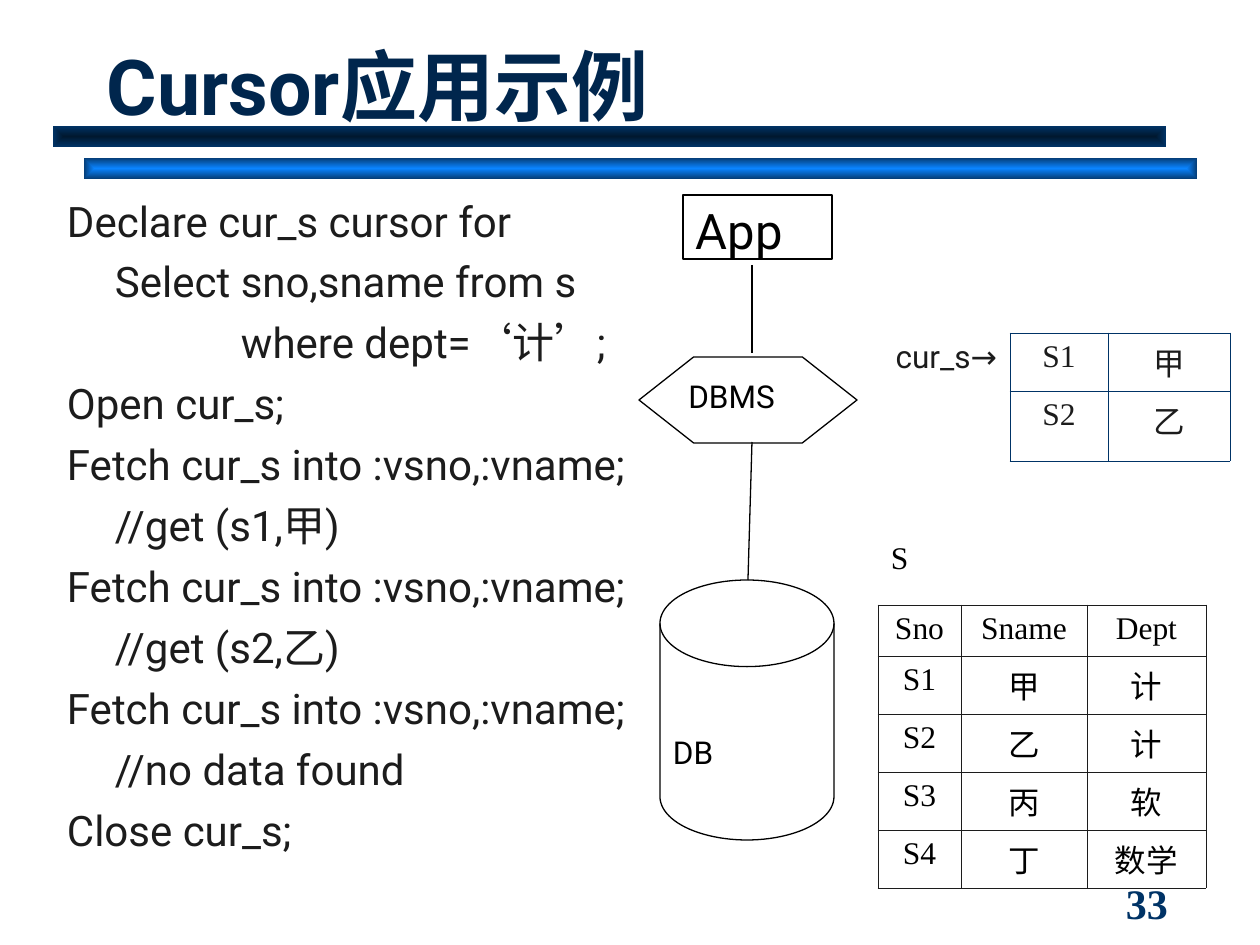
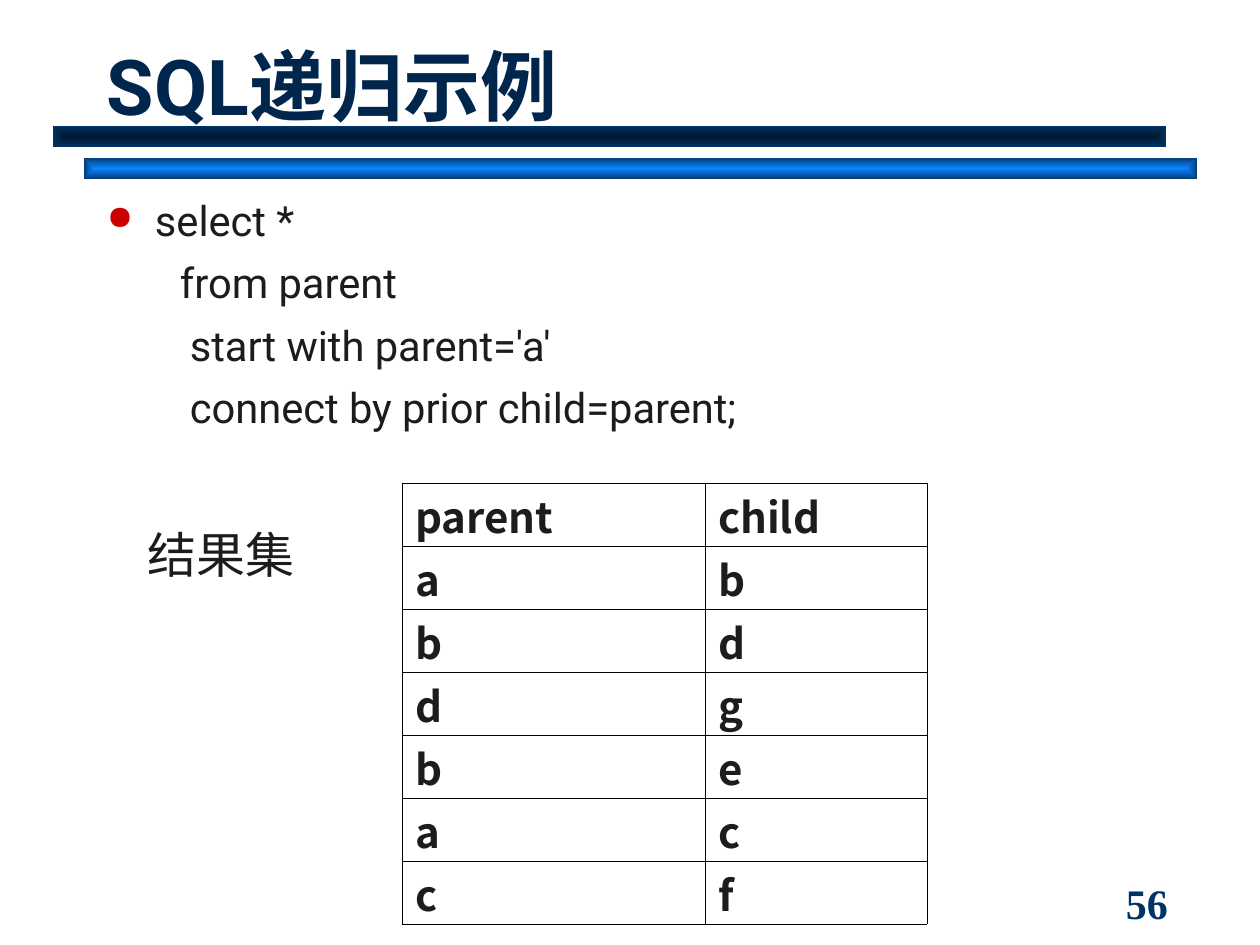
from dataclasses import dataclass

from lxml import etree
from pptx import Presentation
from pptx.dml.color import RGBColor
from pptx.enum.shapes import MSO_CONNECTOR, MSO_SHAPE
from pptx.enum.text import MSO_ANCHOR, PP_ALIGN
from pptx.oxml import parse_xml
from pptx.oxml.ns import nsdecls, qn
from pptx.util import Emu, Pt

LEFT, CENTER, RIGHT = PP_ALIGN.LEFT, PP_ALIGN.CENTER, PP_ALIGN.RIGHT
TOP, MIDDLE, BOTTOM = MSO_ANCHOR.TOP, MSO_ANCHOR.MIDDLE, MSO_ANCHOR.BOTTOM
RECTANGLE, HEXAGON = MSO_SHAPE.RECTANGLE, MSO_SHAPE.HEXAGON
DISK, STRAIGHT = MSO_SHAPE.FLOWCHART_MAGNETIC_DISK, MSO_CONNECTOR.STRAIGHT
PX_PER_INCH = 126


@dataclass(frozen=True)
class Theme:
    navy: str = "003366"
    title_color: str = "00264D"
    ink: str = "1C1C1C"
    black: str = "000000"
    white: str = "FFFFFF"
    bullet: str = "CC0000"
    sans: str = "Roboto"
    serif: str = "Times New Roman"
    cjk: str = "Noto Sans CJK JP"
    title_size: float = 44
    large_size: float = 28
    body_size: float = 24
    query_size: float = 23.8
    small_size: float = 18
    line: float = 0.75
    border: float = 0.45


THEME = Theme()

# Shared parts: (left, top, width, height), centre colour, edge colour
BANDS = [
    ((84, 158, 1113, 21), "0A84FF", "053D76"),
    ((53, 126, 1113, 21), "00182F", "003366"),
]
TITLE_BOX = (94, 21, 1071, 116)
NUMBER_BOX = (1113, 882, 136, 42)

# Cursor slide: code lines as (indent, text)
CURSOR_TITLE = "Cursor应用示例"
CURSOR_CODE = [
    (0, "Declare cur_s cursor for"),
    (48, "Select sno,sname from s"),
    (174, "where dept=‘计’;"),
    (0, "Open cur_s;"),
    (0, "Fetch cur_s into :vsno,:vname;"),
    (48, "//get (s1,甲)"),
    (0, "Fetch cur_s into :vsno,:vname;"),
    (48, "//get (s2,乙)"),
    (0, "Fetch cur_s into :vsno,:vname;"),
    (48, "//no data found"),
    (0, "Close cur_s;"),
]
# kind, box, label, type size, top inset
LAYERS = [
    (RECTANGLE, (683, 195, 149, 64), "App", THEME.large_size, 6),
    (HEXAGON, (639, 357, 218, 86), "DBMS", THEME.small_size, 6),
    (DISK, (660, 580, 174, 260), "DB", THEME.small_size, 66),
]
LINKS = [(752, 265, 752, 353), (752, 442, 748, 580)]
STUDENTS = [
    ("S", "", ""),
    ("Sno", "Sname", "Dept"),
    ("S1", "甲", "计"),
    ("S2", "乙", "计"),
    ("S3", "丙", "软"),
    ("S4", "丁", "数学"),
]
CURSOR_ROWS = [("cur_s→", "S1", "甲"), ("", "S2", "乙")]

# Recursion slide
RECURSION_TITLE = "SQL递归示例"
QUERY = [
    (48, "select *"),
    (73, "from parent"),
    (83, "start with parent='a'"),
    (83, "connect by prior child=parent;"),
]
RESULT_LABEL = "结果集"
RESULT_ROWS = [("parent", "child"), ("a", "b"), ("b", "d"), ("d", "g"),
               ("b", "e"), ("a", "c"), ("c", "f")]


def px(length):
    return Emu(round(length * 914400 / PX_PER_INCH))


def place(box):
    return [px(length) for length in box]


def rgb(color):
    return RGBColor.from_string(color)


def style(paragraph, size, color=THEME.ink, name=THEME.sans, bold=False):
    font = paragraph.font
    font.size, font.bold, font.name = Pt(size), bold, name
    font.color.rgb = rgb(color)
    properties = paragraph._p.get_or_add_pPr().find(qn("a:defRPr"))
    etree.SubElement(properties, qn("a:ea")).set("typeface", THEME.cjk)


def set_frame(frame, anchor=TOP, top=6):
    frame.word_wrap = True
    frame.vertical_anchor = anchor
    frame.margin_left = frame.margin_right = px(13)
    frame.margin_top, frame.margin_bottom = px(top), px(6)


def add_text(slide, box, lines, size, anchor=TOP, space=0, bullet=False, **look):
    """Write (indent, text) lines; an optional bullet marks the first."""
    frame = slide.shapes.add_textbox(*place(box)).text_frame
    set_frame(frame, anchor)
    for index, (indent, text) in enumerate(lines):
        paragraph = frame.add_paragraph() if index else frame.paragraphs[0]
        paragraph.text = text
        paragraph.alignment = LEFT
        if index:
            paragraph.space_before = Pt(space)
        properties = paragraph._p.get_or_add_pPr()
        properties.set("marL", str(px(indent)))
        if bullet and index == 0:
            properties.set("indent", str(-px(indent)))
            color = etree.SubElement(properties, qn("a:buClr"))
            etree.SubElement(color, qn("a:srgbClr")).set("val", THEME.bullet)
            etree.SubElement(properties, qn("a:buSzPct")).set("val", "80000")
            etree.SubElement(properties, qn("a:buChar")).set("char", "●")
        else:
            properties.set("indent", "0")
            etree.SubElement(properties, qn("a:buNone"))
        style(paragraph, size, **look)


def add_band(slide, box, center, edge):
    band = slide.shapes.add_shape(RECTANGLE, *place(box))
    band.shadow.inherit = False
    band.line.fill.background()
    gradient = parse_xml(
        f'<a:gradFill {nsdecls("a")} rotWithShape="1"><a:gsLst>'
        f'<a:gs pos="0"><a:srgbClr val="{center}"/></a:gs>'
        f'<a:gs pos="100000"><a:srgbClr val="{edge}"/></a:gs></a:gsLst>'
        '<a:path path="rect"><a:fillToRect l="50000" t="50000" r="50000" b="50000"/>'
        '</a:path></a:gradFill>')
    band._element.spPr.find(qn("a:prstGeom")).addnext(gradient)


def add_slide(presentation, title, number):
    slide = presentation.slides.add_slide(presentation.slide_layouts[6])
    for band in BANDS:
        add_band(slide, *band)
    add_text(slide, TITLE_BOX, [(0, title)], THEME.title_size, BOTTOM,
             color=THEME.title_color, bold=True)
    add_text(slide, NUMBER_BOX, [(0, str(number))], THEME.body_size, MIDDLE,
             color=THEME.navy, name=THEME.serif, bold=True)
    return slide


def add_layer(slide, kind, box, label, size, top):
    shape = slide.shapes.add_shape(kind, *place(box))
    shape.shadow.inherit = False
    shape.fill.solid()
    shape.fill.fore_color.rgb = rgb(THEME.white)
    shape.line.color.rgb = rgb(THEME.black)
    shape.line.width = Pt(THEME.line)
    if kind == HEXAGON:
        shape.adjustments[0] = 0.635
    set_frame(shape.text_frame, top=top)
    paragraph = shape.text_frame.paragraphs[0]
    paragraph.text = label
    paragraph.alignment = LEFT
    style(paragraph, size, THEME.black)


def add_link(slide, ends):
    link = slide.shapes.add_connector(STRAIGHT, *place(ends))
    link.line.color.rgb = rgb(THEME.black)
    link.line.width = Pt(THEME.line)
    etree.SubElement(link._element.spPr, qn("a:effectLst"))


def set_borders(cell, color, visible):
    properties = cell._tc.get_or_add_tcPr()
    for side in "LRTB":
        line = etree.SubElement(properties, qn(f"a:ln{side}"))
        line.set("w", str(Pt(THEME.border)))
        if side in visible:
            fill = etree.SubElement(line, qn("a:solidFill"))
            etree.SubElement(fill, qn("a:srgbClr")).set("val", color)
        else:
            etree.SubElement(line, qn("a:noFill"))


def add_grid(slide, left, top, widths, heights, rows, border, cell_rule,
             size=THEME.small_size, inset=6, anchor=TOP, **look):
    """Draw a table; cell_rule(row, column) gives alignment, sides and font."""
    box = (left, top, sum(widths), sum(heights))
    table = slide.shapes.add_table(len(rows), len(widths), *place(box)).table
    table.first_row = table.horz_banding = False
    for column, width in zip(table.columns, widths):
        column.width = px(width)
    for row, height in zip(table.rows, heights):
        row.height = px(height)
    for r, values in enumerate(rows):
        for c, value in enumerate(values):
            alignment, sides, name = cell_rule(r, c)
            cell = table.cell(r, c)
            set_borders(cell, border, sides)
            cell.fill.background()
            cell.margin_left = cell.margin_right = px(13)
            cell.margin_top = cell.margin_bottom = px(inset)
            cell.vertical_anchor = anchor
            paragraph = cell.text_frame.paragraphs[0]
            paragraph.text = value
            paragraph.alignment = alignment
            style(paragraph, size, name=name, **look)


def student_cell(row, column):
    # The first row is an open caption above the grid
    return (CENTER, "LRTB", THEME.serif) if row else (LEFT, "B", THEME.serif)


def cursor_cell(row, column):
    # The first column is an open label beside the grid
    return (CENTER, "LRTB", THEME.serif) if column else (RIGHT, "R", THEME.sans)


def result_cell(row, column):
    return LEFT, "LRTB", THEME.cjk


def build_cursor_slide(presentation):
    slide = add_slide(presentation, CURSOR_TITLE, 33)
    add_text(slide, (54, 189, 665, 672), CURSOR_CODE, THEME.body_size, space=6)
    add_grid(slide, 878, 535, (83, 126, 119), (70, 51, 58, 58, 58, 58),
             STUDENTS, THEME.ink, student_cell, color=THEME.black)
    for layer in LAYERS:
        add_layer(slide, *layer)
    for ends in LINKS:
        add_link(slide, ends)
    add_grid(slide, 844, 333, (166, 98, 122), (58, 70),
             CURSOR_ROWS, THEME.navy, cursor_cell)


def build_recursion_slide(presentation):
    slide = add_slide(presentation, RECURSION_TITLE, 56)
    add_text(slide, (94, 189, 932, 244), QUERY, THEME.query_size, space=7, bullet=True)
    add_text(slide, (135, 518, 190, 72), [(0, RESULT_LABEL)], THEME.large_size)
    add_grid(slide, 402, 483, (303, 222), [63] * len(RESULT_ROWS), RESULT_ROWS,
             THEME.black, result_cell, THEME.body_size, 0, BOTTOM, bold=True)


def main():
    presentation = Presentation()
    presentation.slide_width, presentation.slide_height = px(1260), px(945)
    build_cursor_slide(presentation)
    build_recursion_slide(presentation)
    presentation.save("out.pptx")


if __name__ == "__main__":
    main()
